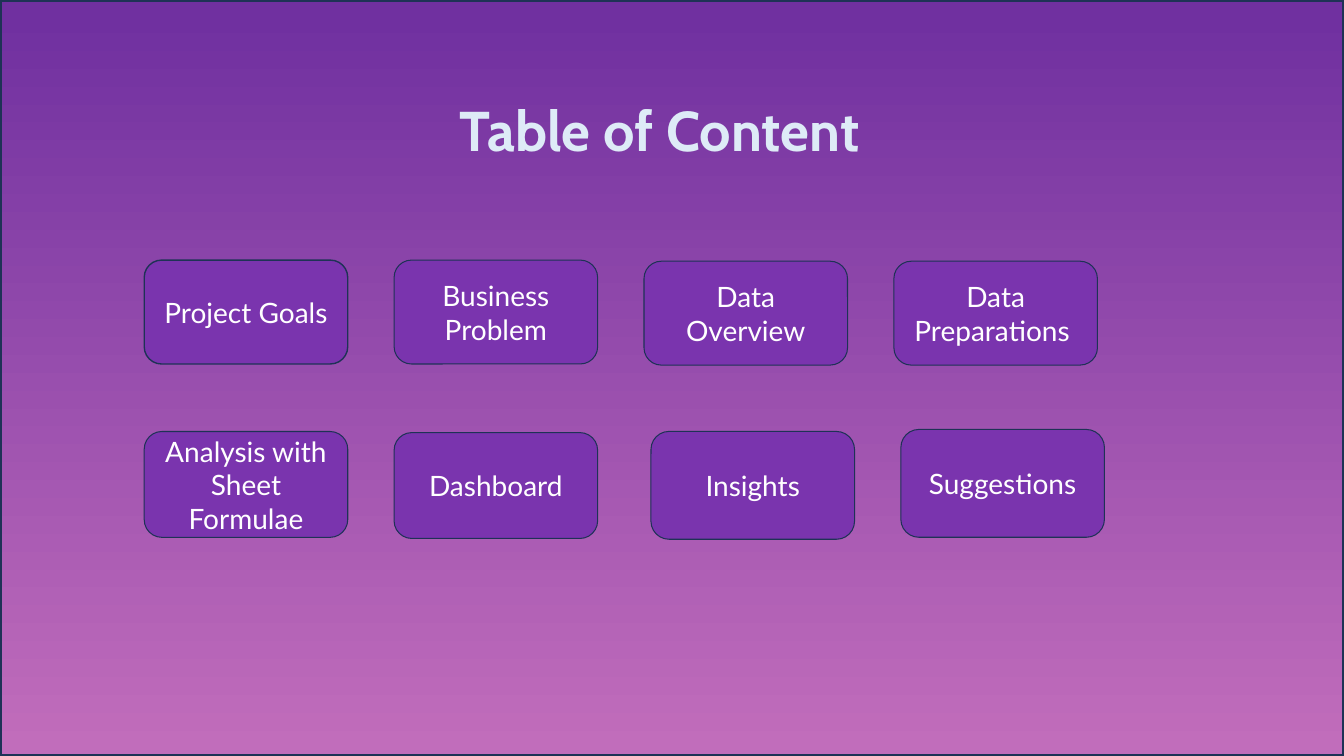
from pptx import Presentation
from pptx.dml.color import RGBColor
from pptx.enum import shapes, text
from pptx.util import Pt

SLIDE_WIDTH, SLIDE_HEIGHT = 960, 540
NAVY = "1E3256"
COLUMN_PITCH = 178.5
TOPIC_WIDTH = 145.4

# Each topic: label, horizontal and vertical nudge from its grid cell, height
FIRST_ROW = [
    ("Project Goals", 0, 0, 74.2),
    ("Business Problem", 0, 0, 74.2),
    ("Data Overview", 0, 0.8, 74.2),
    ("Data Preparations ", 0, 0.8, 74.2),
]
SECOND_ROW = [
    ("Analysis with Sheet Formulae", 0, 0, 75.6),
    ("Dashboard", 0, 0.8, 75.6),
    ("Insights", 5, 0, 77),
    ("Suggestions", 5, -1.4, 77),
]


def color(hex_string):
    return RGBColor.from_string(hex_string)


def write(shape, wording, font_name, size, hex_string, bold=False):
    frame = shape.text_frame
    frame.word_wrap = True
    paragraph = frame.paragraphs[0]
    paragraph.text = wording
    paragraph.alignment = text.PP_ALIGN.CENTER
    font = paragraph.font
    font.name, font.size, font.bold = font_name, Pt(size), bold
    font.color.rgb = color(hex_string)


def add_outlined(slide, kind, left, top, width, height, line_width):
    shape = slide.shapes.add_shape(kind, Pt(left), Pt(top), Pt(width), Pt(height))
    shape.shadow.inherit = False
    shape.line.color.rgb = color(NAVY)
    shape.line.width = Pt(line_width)
    return shape


def paint_background(slide):
    fill = slide.background.fill
    fill.gradient()
    fill.gradient_angle = 270
    for stop, (position, hex_string) in zip(
        fill.gradient_stops, [(0.02, "7030A0"), (0.99, "C16DBB")]
    ):
        stop.position = position
        stop.color.rgb = color(hex_string)


def add_title(slide, left, top, width, height):
    box = slide.shapes.add_textbox(Pt(left), Pt(top), Pt(width), Pt(height))
    write(box, "Table of Content", "Cabin", 40, "DEEBF7", bold=True)


def add_topic_row(slide, topics, left, top):
    for column, (label, shift_x, shift_y, height) in enumerate(topics):
        topic = add_outlined(
            slide, shapes.MSO_SHAPE.FLOWCHART_ALTERNATE_PROCESS,
            left + column * COLUMN_PITCH + shift_x, top + shift_y,
            TOPIC_WIDTH, height, 1 if label == "Project Goals" else 0.75,
        )
        topic.fill.solid()
        topic.fill.fore_color.rgb = color("7A34AE")
        topic.text_frame.vertical_anchor = text.MSO_ANCHOR.MIDDLE
        write(topic, label, "Lato", 20, "FFFFFF")


def add_frame(slide, left, top, width, height):
    frame = add_outlined(
        slide, shapes.MSO_SHAPE.RECTANGLE, left, top, width, height, 2.25
    )
    frame.fill.background()


def build_contents_slide(presentation):
    slide = presentation.slides.add_slide(presentation.slide_layouts[6])
    paint_background(slide)
    add_title(slide, 314.6, 64.8, 313.2, 55.4)
    add_topic_row(slide, FIRST_ROW, 103, 185.8)
    add_topic_row(slide, SECOND_ROW, 103, 308.2)
    add_frame(slide, 0, 0, SLIDE_WIDTH, SLIDE_HEIGHT)


def main():
    presentation = Presentation()
    presentation.slide_width = Pt(SLIDE_WIDTH)
    presentation.slide_height = Pt(SLIDE_HEIGHT)
    build_contents_slide(presentation)
    presentation.save("out.pptx")


if __name__ == "__main__":
    main()
